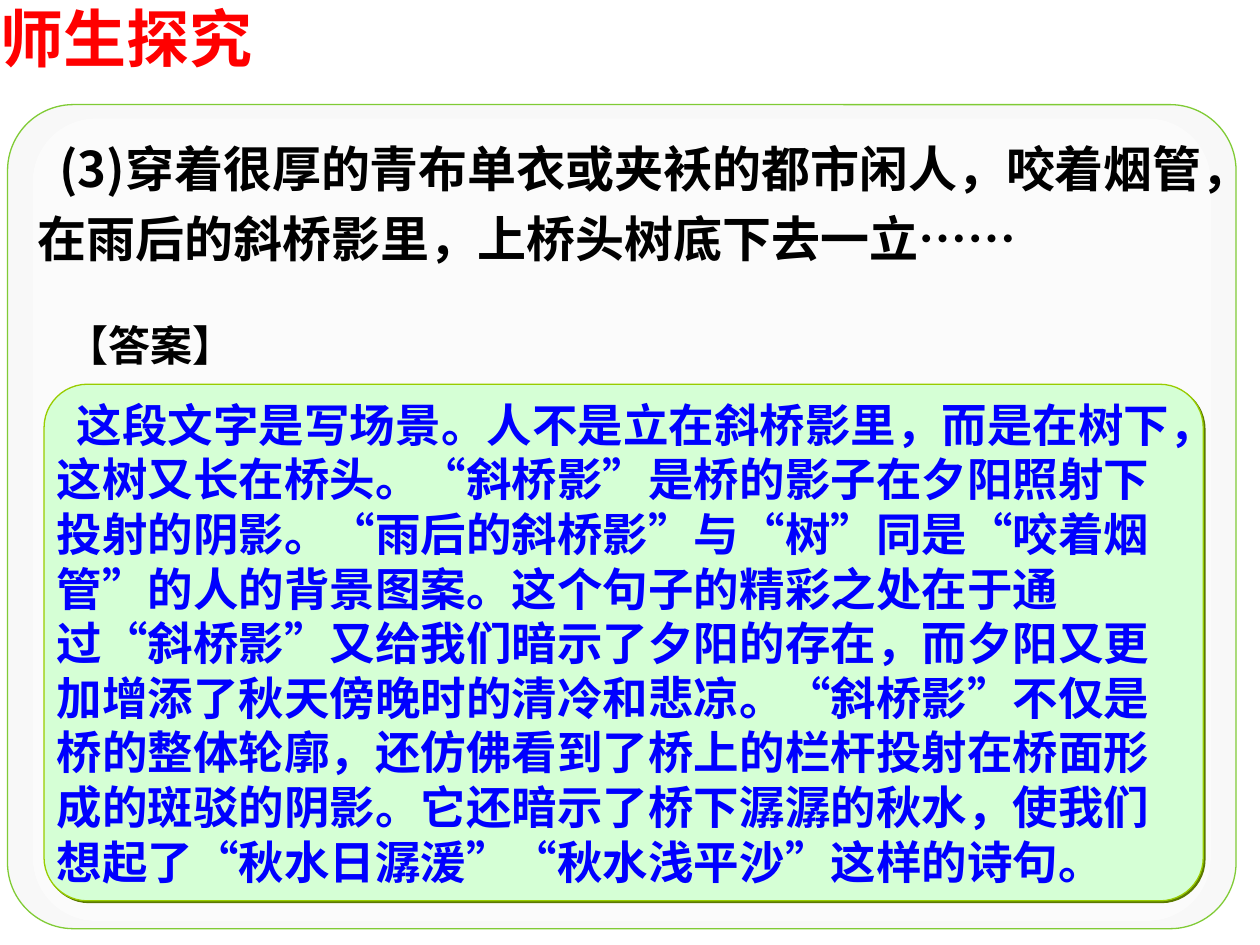
from dataclasses import dataclass

from lxml import etree
from pptx import Presentation
from pptx.dml.color import RGBColor
from pptx.enum import shapes, text
from pptx.oxml import ns
from pptx.util import Pt


@dataclass(frozen=True)
class Theme:
    latin: str = "Arial"
    chinese: str = "Noto Sans CJK SC"
    title_size: float = 36
    question_size: float = 28
    answer_size: float = 26
    label_size: float = 24
    red: str = "FF0000"
    black: str = "000000"
    blue: str = "0000FF"
    panel: str = "F8F8F8"
    panel_line: str = "80CB35"
    sheen: str = "FFFFFF"
    answer_fill: str = "D5FFD5"
    answer_line: str = "99CC00"
    answer_shadow: str = "5B7900"
    text_shadow: str = "808080"


def add_shadow(properties, color, distance):
    """Append a hard shadow falling to the lower right."""
    effects = etree.SubElement(properties, ns.qn("a:effectLst"))
    shadow = etree.SubElement(
        effects, ns.qn("a:outerShdw"), blurRad="0", dist=str(Pt(distance)),
        dir="2700000", algn="tl", rotWithShape="0")
    etree.SubElement(shadow, ns.qn("a:srgbClr"), val=color)


class SlideBuilder:
    def __init__(self, deck, theme):
        self.theme = theme
        self.page = deck.slides.add_slide(deck.slide_layouts[6])

    def panel(self, bounds, radius, fill, line=None, alpha=None, shadow=None):
        left, top, width, height = bounds
        panel = self.page.shapes.add_shape(
            shapes.MSO_SHAPE.ROUNDED_RECTANGLE,
            Pt(left), Pt(top), Pt(width), Pt(height))
        properties = panel._element.spPr
        panel.adjustments[0] = radius
        panel.fill.solid()
        panel.fill.fore_color.rgb = RGBColor.from_string(fill)
        if alpha is not None:
            color = properties.find(".//" + ns.qn("a:srgbClr"))
            etree.SubElement(color, ns.qn("a:alpha"), val=str(alpha * 1000))
        if line:
            panel.line.color.rgb = RGBColor.from_string(line)
            panel.line.width = Pt(0.75)
        else:
            panel.line.fill.background()
        if shadow:
            add_shadow(properties, shadow, 1.4)
        else:
            panel.shadow.inherit = False
        return panel

    def text_box(self, bounds, *args, **kwargs):
        left, top, width, height = bounds
        box = self.page.shapes.add_textbox(
            Pt(left), Pt(top), Pt(width), Pt(height))
        self.set_text(box, *args, **kwargs)

    def set_text(self, box, words, size, color, font, margins=(0, 0),
                 indent=0, pitch=None, middle=False, shadow=True):
        frame = box.text_frame
        frame.word_wrap = True
        frame.margin_left = frame.margin_right = Pt(margins[0])
        frame.margin_top = frame.margin_bottom = Pt(margins[1])
        anchor = text.MSO_ANCHOR
        frame.vertical_anchor = anchor.MIDDLE if middle else anchor.TOP
        para = frame.paragraphs[0]
        para.alignment = text.PP_ALIGN.LEFT
        if pitch:
            para.line_spacing = Pt(pitch)
        if indent:
            para._p.get_or_add_pPr().set("indent", str(Pt(indent)))
        span = para.add_run()
        span.text = words
        span.font.size = Pt(size)
        span.font.bold = True
        span.font.color.rgb = RGBColor.from_string(color)
        properties = span._r.get_or_add_rPr()
        if shadow:
            add_shadow(properties, self.theme.text_shadow, 1.5)
        span.font.name = font
        etree.SubElement(properties, ns.qn("a:ea"),
                         typeface=self.theme.chinese)


def main():
    deck = Presentation()
    deck.slide_width, deck.slide_height = Pt(720), Pt(540)
    theme = Theme()
    slide = SlideBuilder(deck, theme)

    slide.panel((4.3, 59.8, 702, 470.9), 0.08, theme.panel, theme.panel_line)
    slide.panel((18.7, 67.7, 673.2, 458.6), 0.079, theme.sheen, alpha=50)

    slide.text_box((0, 0, 241.2, 43.2), "师生探究",
                   theme.title_size, theme.red, theme.latin)
    slide.text_box(
        (14.4, 69, 680.4, 87.8),
        "(3)穿着很厚的青布单衣或夹袄的都市闲人，咬着烟管，"
        "在雨后的斜桥影里，上桥头树底下去一立……",
        theme.question_size, theme.black, theme.chinese,
        margins=(7.2, 3.6), indent=12.5, pitch=40, middle=True)

    answer = slide.panel((25.2, 219.6, 662.4, 295.2), 0.084,
                         theme.answer_fill, theme.answer_line,
                         shadow=theme.answer_shadow)
    slide.set_text(
        answer,
        "这段文字是写场景。人不是立在斜桥影里，而是在树下，这树又长在桥头。"
        "“斜桥影”是桥的影子在夕阳照射下投射的阴影。"
        "“雨后的斜桥影”与“树”同是“咬着烟管”的人的背景图案。"
        "这个句子的精彩之处在于通过“斜桥影”又给我们暗示了夕阳的存在，"
        "而夕阳又更加增添了秋天傍晚时的清冷和悲凉。"
        "“斜桥影”不仅是桥的整体轮廓，还仿佛看到了桥上的栏杆投射在桥面形成的斑驳的阴影。"
        "它还暗示了桥下潺潺的秋水，使我们想起了“秋水日潺湲”“秋水浅平沙”这样的诗句。",
        theme.answer_size, theme.blue, theme.chinese,
        indent=11.5, pitch=31.2, middle=True, shadow=False)
    slide.text_box((31, 179.3, 118.8, 36), "【答案】",
                   theme.label_size, theme.black, theme.latin,
                   margins=(7.2, 3.6))

    deck.save("out.pptx")


if __name__ == "__main__":
    main()
